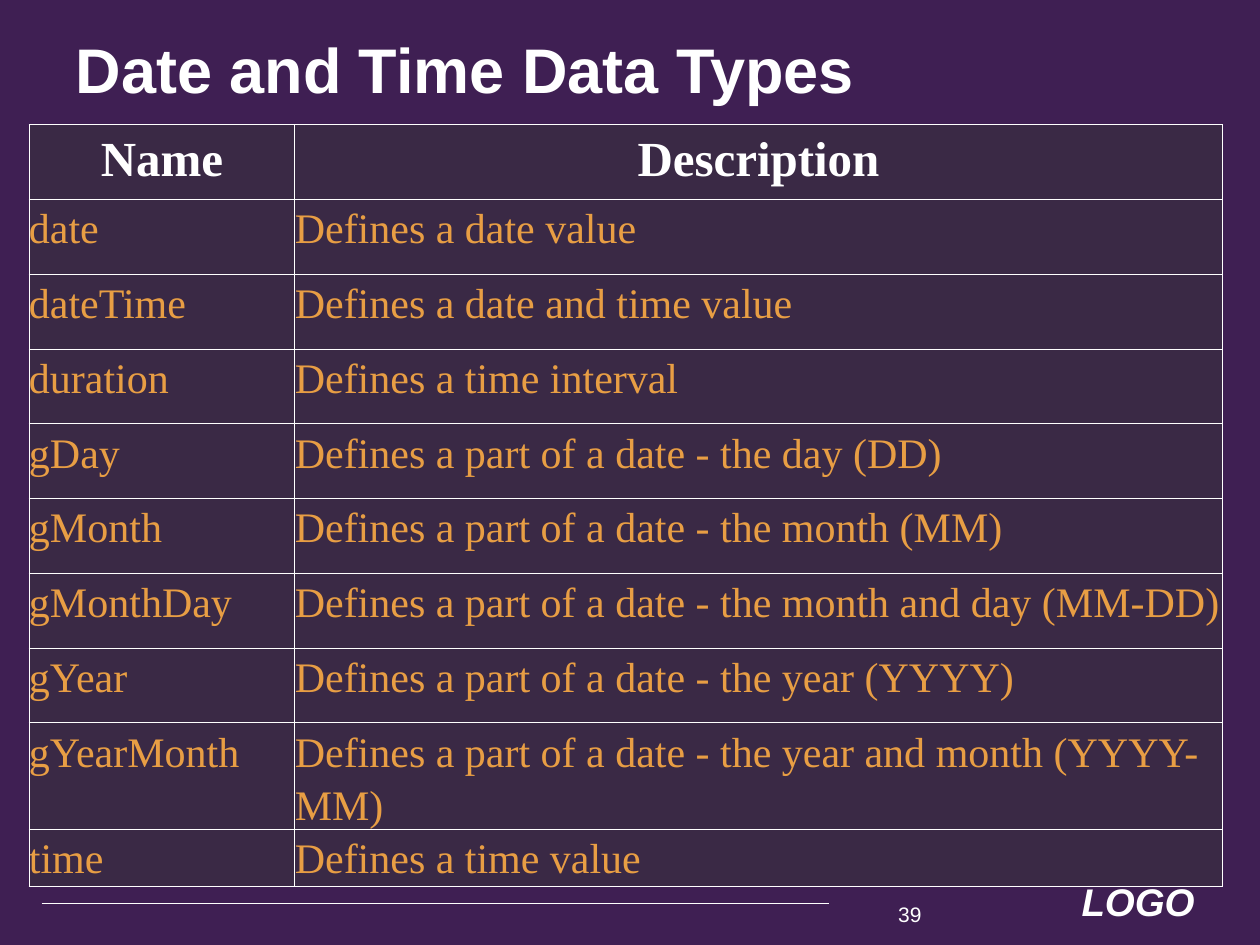
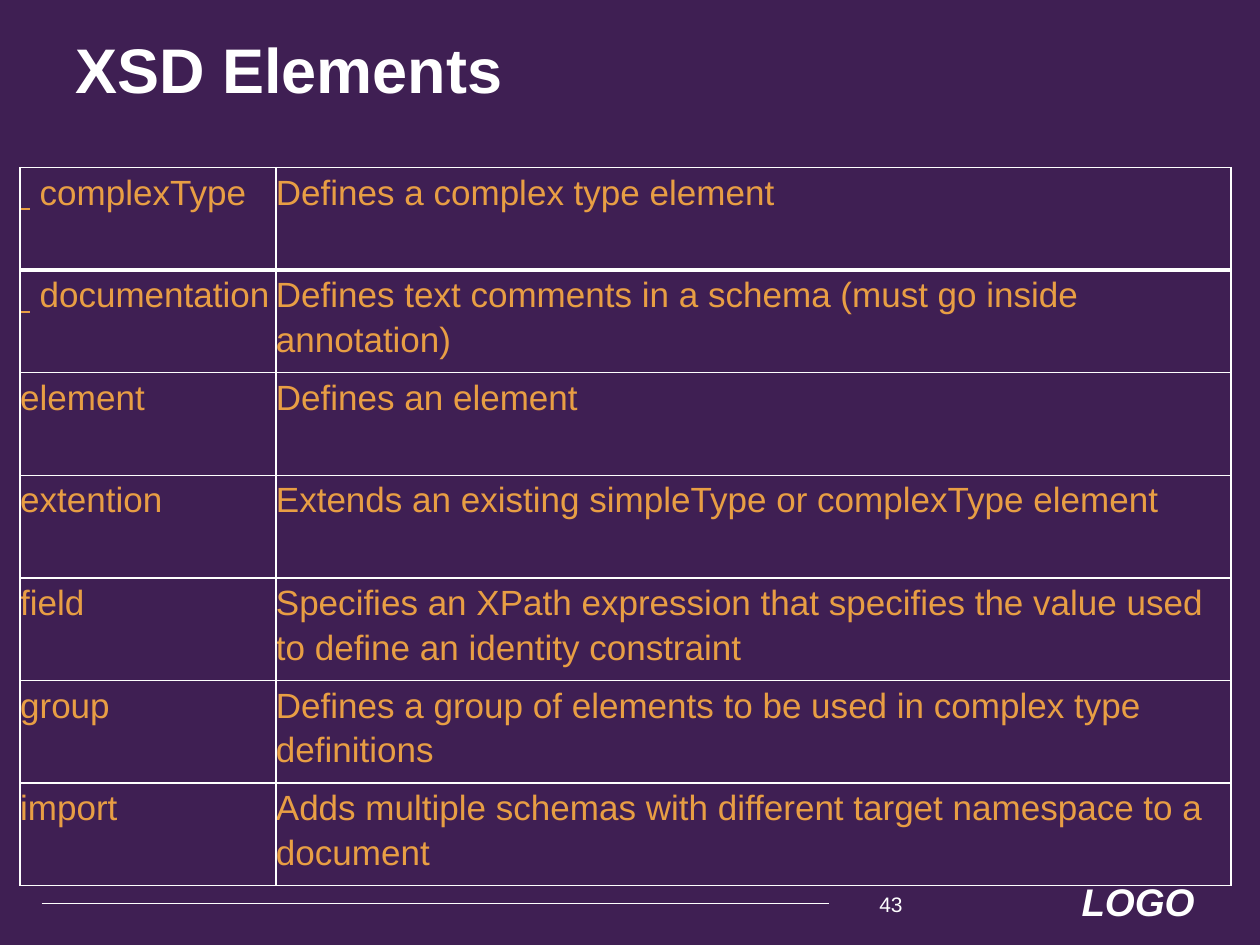
from lxml import etree
from pptx import Presentation
from pptx.dml.color import RGBColor
from pptx.enum.shapes import MSO_CONNECTOR
from pptx.enum.text import MSO_ANCHOR, MSO_AUTO_SIZE, PP_ALIGN
from pptx.oxml.ns import qn
from pptx.util import Inches, Pt

LEFT, CENTER, RIGHT = PP_ALIGN.LEFT, PP_ALIGN.CENTER, PP_ALIGN.RIGHT
TOP, MIDDLE = MSO_ANCHOR.TOP, MSO_ANCHOR.MIDDLE
NO_AUTOFIT = MSO_AUTO_SIZE.NONE
STRAIGHT = MSO_CONNECTOR.STRAIGHT
TITLE_ONLY = 5

PURPLE, WHITE, ORANGE, GREY = "3F1F53", "FFFFFF", "E89E44", "363636"
TITLE_FONT = {"name": "Arial", "size": Pt(36), "bold": True}
LOGO_FONT = {"name": "Arial", "size": Pt(22), "bold": True, "italic": True}
NUMBER_FONT = {"name": "Arial", "size": Pt(12)}
HEADER_FONT = {"name": "Times New Roman", "size": Pt(28), "bold": True}
DATE_FONT = {"name": "Times New Roman", "size": Pt(24), "bold": False}
ELEMENT_FONT = {"name": "Arial", "size": Pt(20), "bold": False}

DATE_TYPES = [
    ("Name", "Description"),
    ("date", "Defines a date value"),
    ("dateTime", "Defines a date and time value"),
    ("duration", "Defines a time interval"),
    ("gDay", "Defines a part of a date - the day (DD)"),
    ("gMonth", "Defines a part of a date - the month (MM)"),
    ("gMonthDay", "Defines a part of a date - the month and day (MM-DD)"),
    ("gYear", "Defines a part of a date - the year (YYYY)"),
    ("gYearMonth", "Defines a part of a date - the year and month (YYYY-MM)"),
    ("time", "Defines a time value"),
]
XSD_ELEMENTS = [
    ("complexType", "Defines a complex type element"),
    ("documentation", "Defines text comments in a schema (must go inside annotation)"),
    ("element", "Defines an element"),
    ("extention", "Extends an existing simpleType or complexType element"),
    ("field", "Specifies an XPath expression that specifies the value used "
              "to define an identity constraint"),
    ("group", "Defines a group of elements to be used in complex type definitions"),
    ("import", "Adds multiple schemas with different target namespace to a document"),
]
UNDERLINED_LEAD = {"complexType", "documentation"}

PAGES = [
    {"title": "Date and Time Data Types", "number": "39", "number_at": (7.03, 7.11),
     "rows": DATE_TYPES, "table_at": (0.23, 0.99), "columns": (2.11, 7.36),
     "heights": [5.34 / 9] * 9 + [0.45], "font": DATE_FONT, "has_header": True,
     "border": 0.5, "first_rule": 0.5, "space_after": 0, "opacity": 46},
    {"title": "XSD Elements", "number": "43", "number_at": (6.88, 7.03),
     "rows": XSD_ELEMENTS, "table_at": (0.16, 1.33), "columns": (2.03, 7.58),
     "heights": [5.7 / 7] * 7, "font": ELEMENT_FONT, "has_header": False,
     "border": 1, "first_rule": 3, "space_after": 10, "opacity": 0},
]


def add_span(para, text, style, color):
    span = para.add_run()
    span.text = text
    for attribute, value in style.items():
        setattr(span.font, attribute, value)
    span.font.color.rgb = RGBColor.from_string(color)
    return span


def add_child(parent, tag, **attributes):
    return etree.SubElement(parent, qn(tag), attributes)


deck = Presentation()
deck.slide_width, deck.slide_height = Inches(10), Inches(7.5)
background = deck.slide_master.background.fill
background.solid()
background.fore_color.rgb = RGBColor.from_string(PURPLE)

for content in PAGES:
    page = deck.slides.add_slide(deck.slide_layouts[TITLE_ONLY])

    rule = page.shapes.add_connector(
        STRAIGHT, Inches(0.33), Inches(7.17), Inches(6.58), Inches(7.17))
    rule.line.color.rgb = RGBColor.from_string(WHITE)
    rule.line.width = Pt(0.5)
    add_child(rule.element.spPr, "a:effectLst")

    title = page.shapes.title
    title.left, title.top = Inches(0.5), Inches(0.29)
    title.width, title.height = Inches(7.96), Inches(0.5)

    logo = page.shapes.add_textbox(Inches(8.07), Inches(6.92), Inches(1.51), Inches(0.47))
    number_left, number_top = content["number_at"]
    number = page.shapes.add_textbox(
        Inches(number_left), Inches(number_top), Inches(1.42), Inches(0.27))

    for box, text, style, alignment, anchor in (
        (title, content["title"], TITLE_FONT, LEFT, MIDDLE),
        (logo, "LOGO", LOGO_FONT, RIGHT, TOP),
        (number, content["number"], NUMBER_FONT, LEFT, TOP),
    ):
        frame = box.text_frame
        frame.word_wrap = True
        frame.auto_size = NO_AUTOFIT
        frame.vertical_anchor = anchor
        frame.paragraphs[0].alignment = alignment
        add_span(frame.paragraphs[0], text, style, WHITE)

    rows, heights = content["rows"], content["heights"]
    table_left, table_top = content["table_at"]
    table = page.shapes.add_table(
        len(rows), 2, Inches(table_left), Inches(table_top),
        Inches(sum(content["columns"])), Inches(sum(heights))).table
    table.first_row = table.horz_banding = False
    for column, width in zip(table.columns, content["columns"]):
        column.width = Inches(width)

    for row_index, texts in enumerate(rows):
        table.rows[row_index].height = Inches(heights[row_index])
        is_header = content["has_header"] and row_index == 0
        style = HEADER_FONT if is_header else content["font"]
        color = WHITE if is_header else ORANGE

        for column_index, text in enumerate(texts):
            cell = table.cell(row_index, column_index)
            cell.margin_left = cell.margin_right = 0
            cell.margin_top = cell.margin_bottom = 0
            para = cell.text_frame.paragraphs[0]
            para.alignment = CENTER if is_header else LEFT
            para.line_spacing = 1.15
            para.space_after = Pt(content["space_after"])
            if text in UNDERLINED_LEAD:
                add_span(para, " ", style, color).font.underline = True
                text = " " + text
            add_span(para, text, style, color)

            properties = cell._tc.get_or_add_tcPr()
            widths = dict.fromkeys(("a:lnL", "a:lnR", "a:lnT", "a:lnB"), content["border"])
            if row_index == 0:
                widths["a:lnB"] = content["first_rule"]
            elif row_index == 1:
                widths["a:lnT"] = content["first_rule"]
            for side, width in widths.items():
                border = add_child(properties, side, w=str(Pt(width)))
                add_child(add_child(border, "a:solidFill"), "a:srgbClr", val=WHITE)

            if content["opacity"]:
                cell.fill.solid()
                cell.fill.fore_color.rgb = RGBColor.from_string(GREY)
                shade = properties.find(qn("a:solidFill"))[0]
                add_child(shade, "a:alpha", val=str(content["opacity"] * 1000))
            else:
                cell.fill.background()

deck.save("out.pptx")
